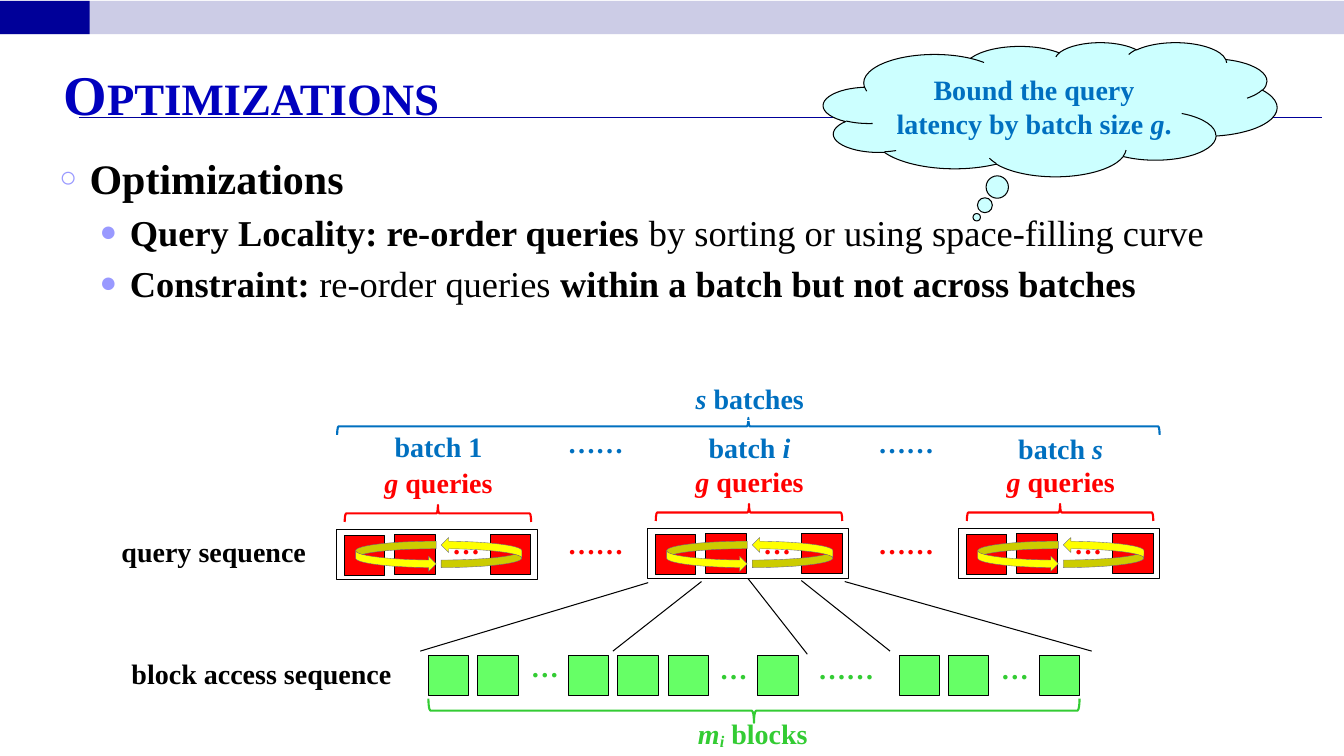
from dataclasses import dataclass

import pptx
import pptx.dml.color
import pptx.enum.shapes
import pptx.enum.text
import pptx.oxml
import pptx.oxml.ns
import pptx.util

Pt = pptx.util.Pt
RGB = pptx.dml.color.RGBColor
KIND = pptx.enum.shapes.MSO_SHAPE
ALIGN = pptx.enum.text.PP_ALIGN
ANCHOR = pptx.enum.text.MSO_ANCHOR
FIT = pptx.enum.text.MSO_AUTO_SIZE

FONT = "Times New Roman"
BLACK, WHITE = RGB(0, 0, 0), RGB(255, 255, 255)
NAVY, PALE, TITLE = RGB(0, 0, 0x99), RGB(0xCC, 0xCC, 0xE6), RGB(0, 0, 0xBE)
BLUE, RED, GREEN = RGB(0, 0x70, 0xC0), RGB(255, 0, 0), RGB(0x33, 0xCC, 0x33)
LIME, CYAN = RGB(0x66, 255, 0x66), RGB(0xCC, 255, 255)
GOLD, SLATE = RGB(255, 255, 0), RGB(0x66, 0x66, 0x89)
SIDE = 28.8


@dataclass
class Run:
    text: str
    bold: bool = True
    slant: bool = False
    base: int = 0


@dataclass
class Label:
    x: float
    y: float
    w: float
    runs: list[Run]
    color: RGB
    edge: bool = False


@dataclass
class Batch:
    x: float
    drop: float
    name: list[Run]
    name_y: float


@dataclass
class Point:
    level: int
    size: int
    mark: str
    scale: int
    runs: list[Run]


def write(para, runs: list[Run], *, size: float = 20, color: RGB = BLACK,
          align=ALIGN.CENTER, caps: bool = False) -> None:
    para.alignment = align
    for item in runs:
        run = para.add_run()
        run.text = item.text
        font = run.font
        font.name, font.size = FONT, Pt(size)
        font.bold, font.italic = item.bold, item.slant
        font.color.rgb = color
        if item.base:
            font._element.set("baseline", str(item.base))
        if caps:
            font._element.set("cap", "small")


def draw(kind, x: float, y: float, w: float, h: float, *, fill: RGB | None = None,
         line: RGB | None = BLACK, width: float = 0.75, turn: float = 0):
    shape = slide.shapes.add_shape(kind, Pt(x), Pt(y), Pt(w), Pt(h))
    shape.shadow.inherit = False
    shape.rotation = turn
    if fill is None:
        shape.fill.background()
    else:
        shape.fill.solid()
        shape.fill.fore_color.rgb = fill
    if line is None:
        shape.line.fill.background()
    else:
        shape.line.color.rgb = line
        shape.line.width = Pt(width)
    return shape


def brace(x: float, y: float, w: float, h: float, color: RGB, up: bool = True) -> None:
    """Place a brace by the box it fills once it is turned."""
    shape = draw(KIND.RIGHT_BRACE, x + (w - h) / 2, y + (h - w) / 2, h, w,
                 fill=WHITE, line=color, width=1.5, turn=270 if up else 90)
    if up:
        shape._element.spPr.find(pptx.oxml.ns.qn("a:xfrm")).set("flipV", "1")


def label(item: Label) -> None:
    box = slide.shapes.add_textbox(Pt(item.x), Pt(item.y), Pt(item.w), Pt(31.7))
    frame = box.text_frame
    frame.word_wrap = False
    frame.auto_size = FIT.SHAPE_TO_FIT_TEXT
    frame.vertical_anchor = ANCHOR.MIDDLE
    if item.edge:
        box.line.color.rgb = WHITE
        box.line.width = Pt(0.75)
    write(frame.paragraphs[0], item.runs, color=item.color)


def link(x1: float, y1: float, x2: float, y2: float, color: RGB = BLACK):
    line = slide.shapes.add_connector(pptx.enum.shapes.MSO_CONNECTOR.STRAIGHT,
                                      Pt(x1), Pt(y1), Pt(x2), Pt(y2))
    line.line.color.rgb = color
    line.line.width = Pt(0.75)
    line._element.spPr.append(pptx.oxml.parse_xml(
        f'<a:effectLst {pptx.oxml.ns.nsdecls("a")}/>'))
    return line


def point(para, item: Point) -> None:
    write(para, item.runs, size=item.size, align=ALIGN.LEFT)
    para.level = item.level
    para.space_before = Pt(0.2 * item.size)
    props = para._p.get_or_add_pPr()
    props.set("marL", str(Pt(50.4 if item.level else 21.6)))
    props.set("indent", str(Pt(-21.6)))
    space = pptx.oxml.ns.nsdecls("a")
    for tag in (f'<a:buClr {space}><a:srgbClr val="9999FF"/></a:buClr>',
                f'<a:buSzPct {space} val="{item.scale * 1000}"/>',
                f'<a:buFont {space} typeface="{FONT}"/>',
                f'<a:buChar {space} char="{item.mark}"/>'):
        props.append(pptx.oxml.parse_xml(tag))


def batch(item: Batch):
    x, drop = item.x, item.drop
    label(Label(x + 17.3, 327.6 + drop, 110.9,
                [Run("g ", slant=True), Run("queries")], RED, True))
    label(Label(x + 75.3, 372.2, 31.7, [Run("…")], RED))
    brace(x + 5.7, 360 + drop, 133.2, 12.2, RED)
    for step, low in ((5.5, 0.7), (41.5, 0), (110, 0)):
        draw(KIND.RECTANGLE, x + step, 381 + drop + low, SIDE, SIDE, fill=RED)
    frame = draw(KIND.RECTANGLE, x, 377.3 + drop, 143.3, 36)
    label(Label(x + 17.3, item.name_y, 110.9, item.name, BLUE))
    for step, y, turn in ((13.5, 386.6, 0), (74.6, 383.8, 180)):
        draw(KIND.CURVED_RIGHT_ARROW, x + step, y, 57.6, 21.6,
             fill=GOLD, line=SLATE, width=0.25, turn=turn)
    return frame


deck = pptx.Presentation()
deck.slide_width, deck.slide_height = Pt(960), Pt(540)
slide = deck.slides.add_slide(deck.slide_layouts[5])

# Top band and title
draw(KIND.RECTANGLE, 0, 0.7, 960, 23.8, fill=PALE, line=None)
draw(KIND.RECTANGLE, 0, 0.7, 64, 23.8, fill=NAVY, line=None)
link(56.2, 84.2, 944, 84.2, NAVY)
title = slide.shapes.title
title.left, title.top, title.width, title.height = Pt(38.2), Pt(37.4), Pt(882), Pt(53.3)
title.text_frame.auto_size = FIT.NONE
title.text_frame.vertical_anchor = ANCHOR.BOTTOM
title.text_frame.margin_bottom = Pt(0)
write(title.text_frame.paragraphs[0], [Run("Optimizations")], size=40,
      color=TITLE, align=ALIGN.LEFT, caps=True)

# Main points
POINTS = [
    Point(0, 30, "○", 70, [Run("Optimizations")]),
    Point(1, 26, "●", 80, [Run("Query Locality: re-order queries "),
                           Run("by sorting or using space-filling curve", False)]),
    Point(1, 26, "●", 80, [Run("Constraint: "), Run("re-order queries ", False),
                           Run("within a batch but not across batches")]),
]
body = slide.shapes.add_textbox(Pt(35.3), Pt(105.1), Pt(862), Pt(394.6)).text_frame
body.word_wrap = True
for rank, item in enumerate(POINTS):
    point(body.add_paragraph() if rank else body.paragraphs[0], item)

# Query batches
brace(240.8, 298.5, 587.5, 12.2, BLUE)
label(Label(480.2, 268.6, 110.9, [Run("s", slant=True), Run(" batches")], BLUE, True))
NAMES = [[Run("batch 1")], [Run("batch "), Run("i", slant=True)],
         [Run("batch "), Run("s", slant=True)]]
frames = [batch(Batch(240.5 + 222.2 * rank, 0 if rank else 0.7, name, 303.1 + 0.7 * rank))
          for rank, name in enumerate(NAMES)]
for x in (394.6, 616.3):
    for y, color in ((300.2, BLUE), (372.2, RED)):
        label(Label(x, y, 61.9, [Run("……")], color))

# Block access row
for x in (306, 341.3, 406.1, 441.4, 477.4, 541.4, 642.2, 677.5, 742.3):
    draw(KIND.RECTANGLE, x, 468, SIDE, SIDE, fill=LIME)
for x, y, w, dots in ((372.2, 460.1, 31.7, "…"), (506.9, 461.5, 31.7, "…"),
                      (573.1, 461.5, 62.6, "……"), (707.8, 461.5, 31.7, "…")):
    label(Label(x, y, w, [Run(dots)], GREEN))
brace(306, 499, 465.1, 17.3, GREEN, up=False)
label(Label(487.4, 508.3, 100.8, [Run("m", slant=True), Run("i", slant=True, base=-10000),
                                  Run(" blocks")], GREEN))
label(Label(77.8, 378, 149.8, [Run("query sequence")], BLACK, True))
label(Label(85.7, 465.1, 202.3, [Run("block access sequence")], BLACK, True))

# Lines from batch i to its blocks
for ends in ((300.2, 465.1, 463, 416.2), (437.8, 465.1, 501.1, 415.4),
             (635.8, 465.1, 572.4, 414.7), (779.8, 465.1, 603.4, 415.4)):
    link(*ends)
link(576.7, 467.3, 534.3, 413.3).end_connect(frames[1], 2)

# Cloud note
cloud = draw(KIND.CLOUD_CALLOUT, 588.2, 30.2, 324, 95.8, fill=CYAN)
cloud.adjustments[0], cloud.adjustments[1] = -0.162, 0.805
cloud.text_frame.word_wrap = True
cloud.text_frame.vertical_anchor = ANCHOR.MIDDLE
write(cloud.text_frame.paragraphs[0],
      [Run("Bound the query latency by batch size "), Run("g", slant=True), Run(".")],
      color=BLUE)

deck.save("out.pptx")
